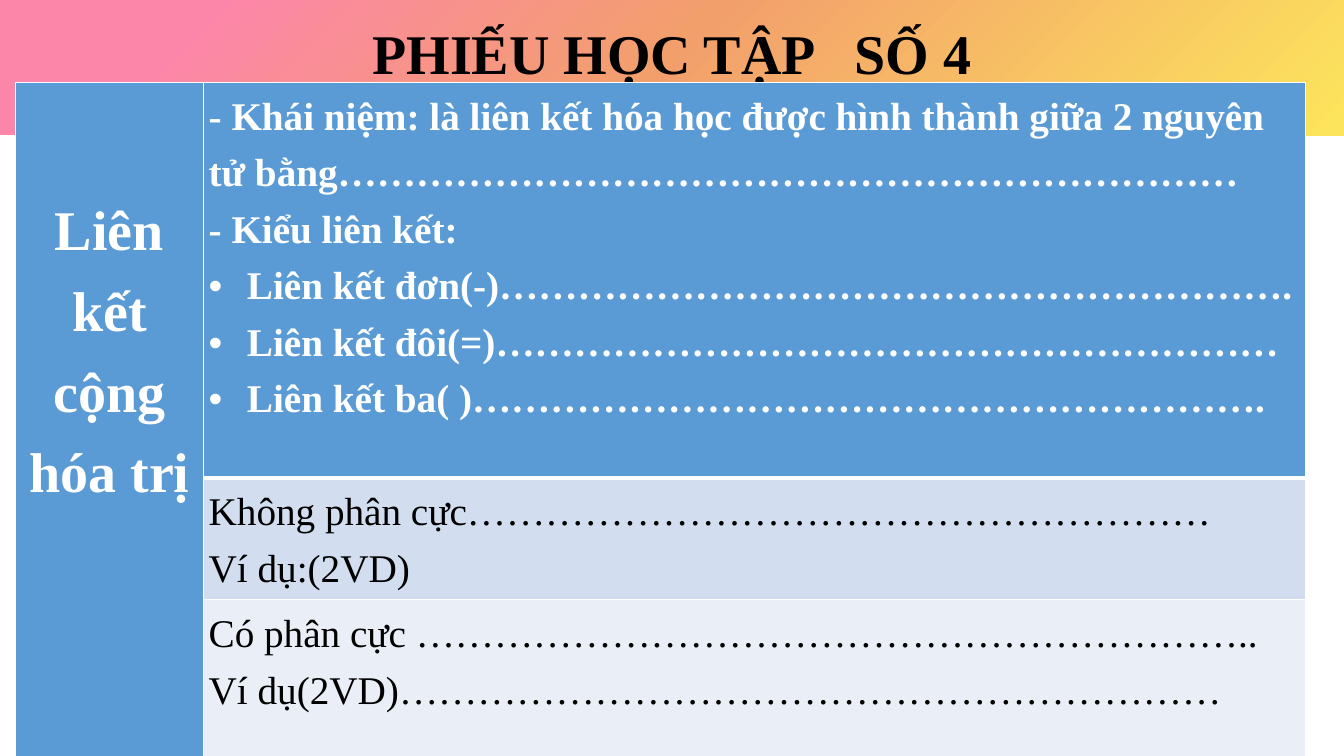
from dataclasses import dataclass

import lxml.etree
import pptx
import pptx.dml.color
import pptx.enum.text
import pptx.oxml.ns
import pptx.util

Inches = pptx.util.Inches
Pt = pptx.util.Pt
qn = pptx.oxml.ns.qn
PP_ALIGN = pptx.enum.text.PP_ALIGN

FONT = "Times New Roman"
COLORS = {
    "pink": "FC86A9",
    "orange": "F39F6C",
    "yellow": "FCE45C",
    "header": "5B9BD5",
    "band": "D2DEEF",
    "light_band": "EAEFF7",
    "white": "FFFFFF",
    "black": "000000",
}
BANNER_STOPS = [(0, "pink"), (15, "pink"), (49, "orange"), (99, "yellow"), (100, "yellow")]
COLUMN_WIDTHS = [1.87, 10.93]
ROW_HEIGHTS = [3.92, 1.21, 1.66]
LINE_SPACING = 1.3
BULLET_INDENT = 0.38


@dataclass
class Line:
    text: str
    bullet: bool = False


@dataclass
class CellContent:
    row: int
    column: int
    lines: list[Line]
    fill: str
    color: str
    size: int = 28
    bold: bool = False
    alignment: PP_ALIGN = PP_ALIGN.LEFT
    margin_top: float = 0
    border_top: float = 1
    border_bottom: float = 1


CELLS = [
    CellContent(0, 0, [Line("Liên kết cộng hóa trị")], "header", "white",
                size=40, bold=True, alignment=PP_ALIGN.CENTER, margin_top=0.99),
    CellContent(0, 1, [
        Line("- Khái niệm: là liên kết hóa học được hình thành giữa 2 nguyên tử "
             "bằng……………………………………………………………"),
        Line("- Kiểu liên kết:"),
        Line("Liên kết đơn(-)…………………………………………………….", bullet=True),
        Line("Liên kết đôi(=)……………………………………………………", bullet=True),
        Line("Liên kết ba( )…………………………………………………….", bullet=True),
    ], "header", "white", bold=True, border_bottom=3),
    CellContent(1, 1, [
        Line("Không phân cực…………………………………………………"),
        Line("Ví dụ:(2VD)"),
    ], "band", "black", border_top=3),
    CellContent(2, 1, [
        Line("Có phân cực ……………………………………………………….."),
        Line("Ví dụ(2VD)………………………………………………………"),
    ], "light_band", "black"),
]


def rgb(name: str) -> pptx.dml.color.RGBColor:
    return pptx.dml.color.RGBColor.from_string(COLORS[name])


def add_run(paragraph, text: str, size: int, color: str, bold: bool) -> None:
    run = paragraph.add_run()
    run.text = text
    run.font.name = FONT
    run.font.size = Pt(size)
    run.font.bold = bold
    run.font.color.rgb = rgb(color)


def add_bullet(paragraph) -> None:
    properties = paragraph._p.get_or_add_pPr()
    properties.set("marL", str(Inches(BULLET_INDENT)))
    properties.set("indent", str(-Inches(BULLET_INDENT)))
    lxml.etree.SubElement(properties, qn("a:buFont")).set("typeface", "Arial")
    lxml.etree.SubElement(properties, qn("a:buChar")).set("char", "•")


def set_borders(cell, top: float, bottom: float) -> None:
    properties = cell._tc.get_or_add_tcPr()
    widths = {"a:lnL": 1, "a:lnR": 1, "a:lnT": top, "a:lnB": bottom}
    for position, (tag, width) in enumerate(widths.items()):
        border = lxml.etree.Element(qn(tag), w=str(Pt(width)))
        fill = lxml.etree.SubElement(border, qn("a:solidFill"))
        lxml.etree.SubElement(fill, qn("a:srgbClr")).set("val", COLORS["white"])
        properties.insert(position, border)


def set_banner_gradient(shape) -> None:
    shape.fill.gradient()
    shape.fill.gradient_angle = 315
    stops = shape._element.spPr.find(qn("a:gradFill")).find(qn("a:gsLst"))
    for stop in list(stops):
        stops.remove(stop)
    for percent, color in BANNER_STOPS:
        stop = lxml.etree.SubElement(stops, qn("a:gs"), pos=str(percent * 1000))
        lxml.etree.SubElement(stop, qn("a:srgbClr")).set("val", COLORS[color])


def fill_title(shape) -> None:
    shape.left, shape.top = Inches(0), Inches(0)
    shape.width, shape.height = Inches(13.33), Inches(1.34)
    set_banner_gradient(shape)
    frame = shape.text_frame
    frame.word_wrap = True
    frame.auto_size = pptx.enum.text.MSO_AUTO_SIZE.NONE
    frame.vertical_anchor = pptx.enum.text.MSO_ANCHOR.MIDDLE
    frame.margin_top, frame.margin_bottom = Inches(0.05), Inches(0.35)
    paragraph = frame.paragraphs[0]
    paragraph.alignment = PP_ALIGN.CENTER
    add_run(paragraph, "PHIẾU HỌC TẬP\u00a0 SỐ 4".replace("\u00a0 ", " " * 3), 40, "black", True)


def fill_cell(cell, content: CellContent) -> None:
    cell.margin_left = cell.margin_right = Inches(0.05)
    cell.margin_top, cell.margin_bottom = Inches(content.margin_top), Inches(0)
    cell.fill.solid()
    cell.fill.fore_color.rgb = rgb(content.fill)
    set_borders(cell, content.border_top, content.border_bottom)
    frame = cell.text_frame
    for index, line in enumerate(content.lines):
        paragraph = frame.add_paragraph() if index else frame.paragraphs[0]
        paragraph.alignment = content.alignment
        paragraph.line_spacing = LINE_SPACING
        if line.bullet:
            add_bullet(paragraph)
        add_run(paragraph, line.text, content.size, content.color, content.bold)


def add_worksheet_table(slide) -> None:
    table = slide.shapes.add_table(
        len(ROW_HEIGHTS), len(COLUMN_WIDTHS), Inches(0.15), Inches(0.82),
        Inches(sum(COLUMN_WIDTHS)), Inches(sum(ROW_HEIGHTS))).table
    for column, width in zip(table.columns, COLUMN_WIDTHS):
        column.width = Inches(width)
    for row, height in zip(table.rows, ROW_HEIGHTS):
        row.height = Inches(height)
    table.cell(0, 0).merge(table.cell(len(ROW_HEIGHTS) - 1, 0))
    for content in CELLS:
        fill_cell(table.cell(content.row, content.column), content)


def main() -> None:
    presentation = pptx.Presentation()
    presentation.slide_width = Inches(13.33)
    presentation.slide_height = Inches(7.5)
    slide = presentation.slides.add_slide(presentation.slide_layouts[5])
    slide.background.fill.solid()
    slide.background.fill.fore_color.rgb = rgb("white")
    fill_title(slide.shapes.title)
    add_worksheet_table(slide)
    presentation.save("out.pptx")


if __name__ == "__main__":
    main()
